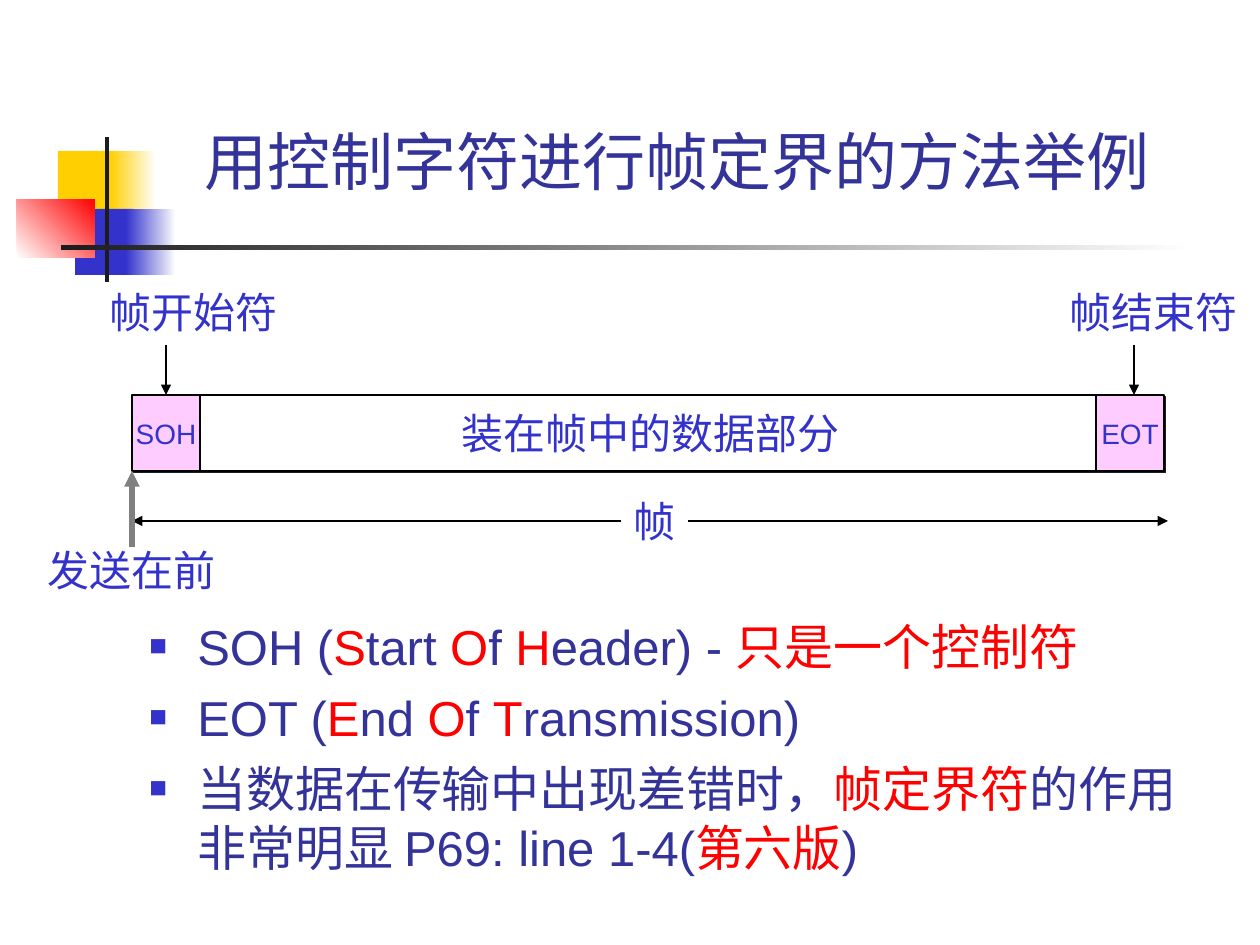
from dataclasses import dataclass

from lxml import etree
from pptx import Presentation
from pptx.dml.color import RGBColor
from pptx.enum.shapes import MSO_CONNECTOR, MSO_SHAPE
from pptx.enum.text import MSO_ANCHOR, MSO_AUTO_SIZE, PP_ALIGN
from pptx.oxml.ns import qn
from pptx.util import Pt

RECTANGLE = MSO_SHAPE.RECTANGLE
STRAIGHT = MSO_CONNECTOR.STRAIGHT
LEFT, CENTER = PP_ALIGN.LEFT, PP_ALIGN.CENTER
MIDDLE, BOTTOM = MSO_ANCHOR.MIDDLE, MSO_ANCHOR.BOTTOM
NO_FIT, GROW = MSO_AUTO_SIZE.NONE, MSO_AUTO_SIZE.SHAPE_TO_FIT_TEXT
TITLE_ONLY = 5
EMU_PER_PX = 914400 / 126


@dataclass(frozen=True)
class Theme:
    font: str = "Arial"
    alternate_font: str = "Cabin"
    title: str = "333399"
    label: str = "3333CC"
    accent: str = "FF0000"
    yellow: str = "FFCF01"
    dark: str = "1C1C1C"
    gray: str = "808080"
    pink: str = "FFCCFF"
    white: str = "FFFFFF"
    black: str = "000000"
    title_size: int = 36
    body_size: int = 28
    label_size: int = 24
    code_size: int = 16


THEME = Theme()
ACCENT = {"color": THEME.accent}
BULLETS = [
    [("SOH (", {}), ("S", ACCENT), ("tart ", {}), ("O", ACCENT), ("f ", {}),
     ("H", ACCENT), ("eader) - ", {}), ("只是一个控制符", ACCENT)],
    [("EOT (", {}), ("E", ACCENT), ("nd ", {}), ("O", ACCENT), ("f ", {}),
     ("T", ACCENT), ("ransmission)", {})],
    [("当数据在传输中出现差错时，", {}), ("帧定界符", ACCENT),
     ("的作用非常明显 ", {"font": THEME.alternate_font}),
     ("P69: line 1-4(", {}), ("第六版", ACCENT), (")", {})],
]


def px(value):
    return round(value * EMU_PER_PX)


def rgb(color):
    return RGBColor.from_string(color)


def add_xml(parent, tag, **attributes):
    return etree.SubElement(parent, qn(tag), attributes)


def write(paragraph, text, size, color, font=THEME.font, align=LEFT):
    paragraph.alignment = align
    run = paragraph.add_run()
    run.text = text
    run.font.name = font
    run.font.size = Pt(size)
    run.font.color.rgb = rgb(color)


class SlideBuilder:
    def __init__(self, presentation, theme):
        self.theme = theme
        self.slide = presentation.slides.add_slide(
            presentation.slide_layouts[TITLE_ONLY])

    def title(self, text, left, top, width, height):
        shape = self.slide.shapes.title
        shape.left, shape.top = px(left), px(top)
        shape.width, shape.height = px(width), px(height)
        frame = shape.text_frame
        frame.auto_size = NO_FIT
        frame.vertical_anchor = BOTTOM
        write(frame.paragraphs[0], text, self.theme.title_size,
              self.theme.title, align=CENTER)

    def block(self, left, top, width, height, color, fade_to=None, angle=0):
        """Add a borderless rectangle, optionally fading to a second colour."""
        shape = self.slide.shapes.add_shape(
            RECTANGLE, px(left), px(top), px(width), px(height))
        shape.shadow.inherit = False
        shape.line.fill.background()
        if fade_to is None:
            shape.fill.solid()
            shape.fill.fore_color.rgb = rgb(color)
        else:
            shape.fill.gradient()
            shape.fill.gradient_angle = angle
            for stop, stop_color in zip(shape.fill.gradient_stops, (color, fade_to)):
                stop.color.rgb = rgb(stop_color)
        return shape

    def field(self, text, left, top, width, height, color, size):
        """Add one outlined field of the frame, with a hard drop shadow."""
        shape = self.block(left, top, width, height, color)
        shape.line.color.rgb = rgb(self.theme.black)
        shape.line.width = Pt(0.75)
        effects = shape._element.spPr.find(qn("a:effectLst"))
        shadow = add_xml(effects, "a:outerShdw", dist=str(Pt(1.4)),
                         dir="2700000", algn="ctr", rotWithShape="0")
        add_xml(shadow, "a:srgbClr", val=self.theme.dark)
        frame = shape.text_frame
        frame.word_wrap = False
        frame.vertical_anchor = MIDDLE
        write(frame.paragraphs[0], text, size, self.theme.label, align=CENTER)

    def label(self, text, left, top, width, height=63, fill=None):
        shape = self.slide.shapes.add_textbox(
            px(left), px(top), px(width), px(height))
        if fill:
            shape.fill.solid()
            shape.fill.fore_color.rgb = rgb(fill)
        frame = shape.text_frame
        frame.word_wrap = False
        frame.auto_size = GROW
        write(frame.paragraphs[0], text, self.theme.label_size, self.theme.label)

    def arrow(self, start, end, color, width=0.75, both_ends=False):
        line = self.slide.shapes.add_connector(
            STRAIGHT, *(px(value) for value in (*start, *end)))
        line.line.color.rgb = rgb(color)
        line.line.width = Pt(width)
        outline = line.line._get_or_add_ln()
        if both_ends:
            add_xml(outline, "a:headEnd", type="triangle")
        add_xml(outline, "a:tailEnd", type="triangle")
        add_xml(line._element.spPr, "a:effectLst")

    def bullets(self, items, left, top, width, height, indent=48):
        frame = self.slide.shapes.add_textbox(
            px(left), px(top), px(width), px(height)).text_frame
        frame.word_wrap = True
        for index, segments in enumerate(items):
            paragraph = frame.add_paragraph() if index else frame.paragraphs[0]
            properties = paragraph._p.get_or_add_pPr()
            properties.set("marL", str(px(indent)))
            properties.set("indent", str(-px(indent)))
            bullet_color = add_xml(properties, "a:buClr")
            add_xml(bullet_color, "a:srgbClr", val=self.theme.label)
            add_xml(properties, "a:buSzPct", val="60000")
            add_xml(properties, "a:buFont", typeface=self.theme.font)
            add_xml(properties, "a:buChar", char="■")
            if index:
                paragraph.space_before = Pt(7)
            for text, style in segments:
                write(paragraph, text, self.theme.body_size,
                      **{"color": self.theme.title, **style})


def draw_ornament(builder):
    theme = builder.theme
    builder.block(58, 151, 60, 66, theme.yellow)
    builder.block(110, 151, 46, 66, theme.yellow, theme.white)
    builder.block(75, 209, 58, 66, theme.label)
    builder.block(126, 209, 50, 66, theme.label, theme.white)
    builder.block(17, 199, 78, 59, theme.white, theme.accent, angle=45)
    builder.block(105, 137, 4, 145, theme.dark)
    builder.block(61, 245, 1134, 5, theme.dark, theme.white)


def draw_frame(builder):
    theme = builder.theme
    left, top, height, code_width = 132, 395, 76, 68
    end_left = 1096
    bottom = top + height
    builder.field("SOH", left, top, code_width, height, theme.pink, theme.code_size)
    builder.field("装在帧中的数据部分", left + code_width, top, 900, height,
                  theme.white, theme.label_size)
    builder.field("EOT", end_left, top, code_width, height, theme.pink, theme.code_size)

    builder.arrow((left, 521), (1168, 521), theme.black, both_ends=True)
    builder.label("帧", 621, 489, 67, fill=theme.white)
    for text, label_left, arrow_x in (("帧开始符", 97, 166), ("帧结束符", 1057, 1134)):
        builder.label(text, label_left, 280, 193)
        builder.arrow((arrow_x, 345), (arrow_x, top), theme.black)
    builder.arrow((left, bottom + 76), (left, bottom), theme.gray, width=3)
    builder.label("发送在前", 35, 538, 193)


def main():
    presentation = Presentation()
    presentation.slide_width, presentation.slide_height = px(1260), px(945)
    builder = SlideBuilder(presentation, THEME)
    draw_ornament(builder)
    builder.title("用控制字符进行帧定界的方法举例 ", 159, 29, 1051, 175)
    draw_frame(builder)
    builder.bullets(BULLETS, 137, 610, 1071, 280)
    presentation.save("out.pptx")


if __name__ == "__main__":
    main()
